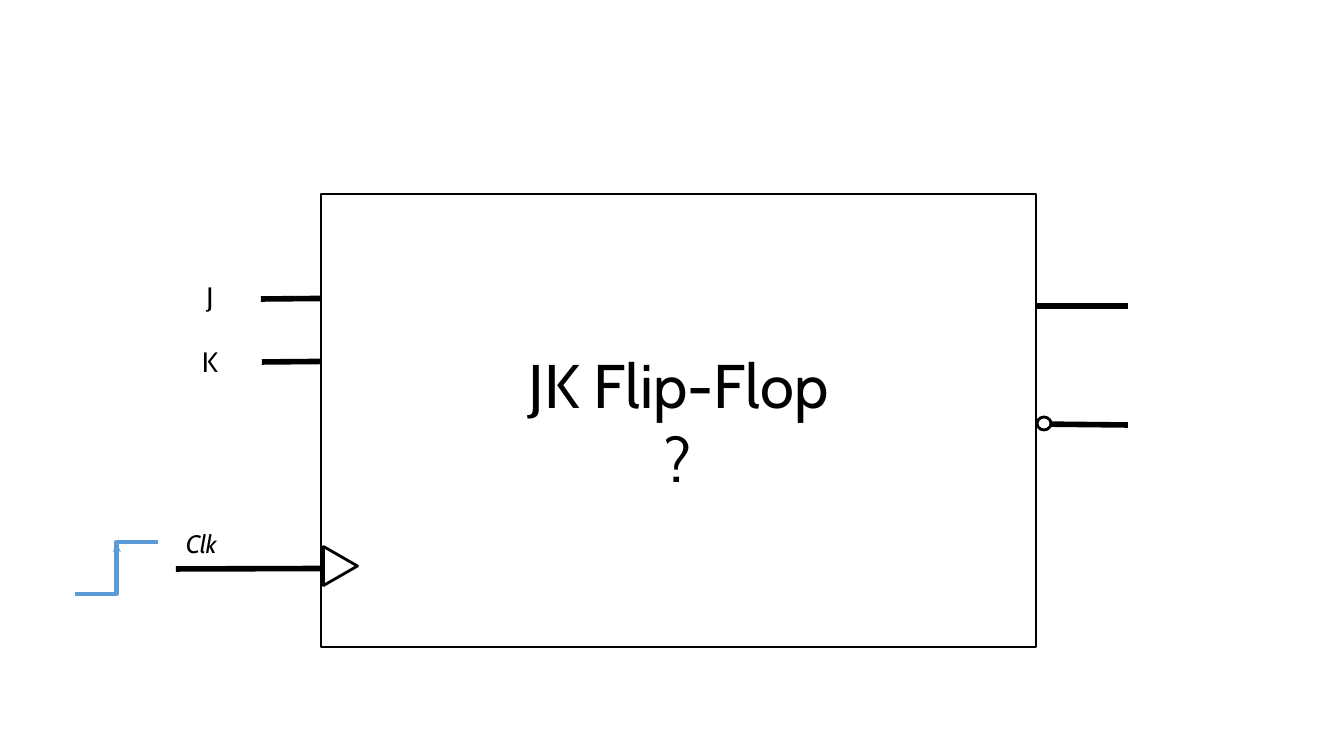
from dataclasses import dataclass

from lxml import etree
from pptx import Presentation
from pptx.dml.color import RGBColor
from pptx.enum.shapes import MSO_CONNECTOR, MSO_SHAPE
from pptx.enum.text import MSO_ANCHOR, MSO_AUTO_SIZE, PP_ALIGN
from pptx.oxml.ns import qn
from pptx.shapes.autoshape import Shape
from pptx.shapes.shapetree import SlideShapes
from pptx.util import Emu, Pt

STRAIGHT, ELBOW = MSO_CONNECTOR.STRAIGHT, MSO_CONNECTOR.ELBOW
RECTANGLE = MSO_SHAPE.RECTANGLE
OVAL = MSO_SHAPE.OVAL
TRIANGLE = MSO_SHAPE.ISOSCELES_TRIANGLE
TOP, MIDDLE = MSO_ANCHOR.TOP, MSO_ANCHOR.MIDDLE
LEFT, CENTER = PP_ALIGN.LEFT, PP_ALIGN.CENTER
GROW = MSO_AUTO_SIZE.SHAPE_TO_FIT_TEXT
EMU_PER_PX = 914400 / 100.8


@dataclass(frozen=True)
class Theme:
    ink: RGBColor = RGBColor(0, 0, 0)
    paper: RGBColor = RGBColor(255, 255, 255)
    edge: RGBColor = RGBColor(0x5B, 0x9B, 0xD5)
    font: str = "Cabin"
    title_size: int = 44
    pin_size: int = 20
    clock_size: int = 18
    wire_width: int = 4
    outline_width: int = 2
    edge_width: int = 3


THEME = Theme()


@dataclass(frozen=True)
class Wire:
    x1: int
    y1: int
    x2: int
    y2: int
    color: RGBColor = THEME.ink
    width: int = THEME.wire_width
    route: MSO_CONNECTOR = STRAIGHT
    arrow: bool = False


@dataclass(frozen=True)
class Block:
    x: int
    y: int
    width: int
    height: int
    kind: MSO_SHAPE = RECTANGLE
    filled: bool = True
    outlined: bool = True
    rotation: int = 0


@dataclass(frozen=True)
class Label:
    text: str
    size: int
    align: PP_ALIGN = CENTER
    anchor: MSO_ANCHOR = TOP
    grow: bool = True
    wrap: bool = False
    italic: bool = False


INPUT_WIRES = [
    Wire(262, 362, 372, 361),
    Wire(176, 569, 777, 567),
    Wire(261, 299, 371, 298),
]
RISING_EDGE = [
    Wire(75, 594, 158, 542, THEME.edge, THEME.edge_width, ELBOW),
    Wire(116, 591, 117, 544, THEME.edge, THEME.outline_width, arrow=True),
]
OUTPUT_WIRES = [
    Wire(937, 306, 1128, 306),
    Wire(940, 423, 1128, 425),
]
INVERTER_BUBBLE = Block(1037, 417, 14, 13, OVAL)
FLIP_FLOP = Block(321, 194, 715, 453)
CLOCK_MARK = Block(321, 549, 39, 34, TRIANGLE, filled=False, rotation=90)
CLOCK_NAME = Block(176, 523, 70, 40, filled=False, outlined=False)
PINS = [
    (Block(195, 275, 30, 44, outlined=False), "J"),
    (Block(192, 340, 36, 44, outlined=False), "K"),
]


def px(length: int) -> Emu:
    return Emu(round(length * EMU_PER_PX))


def draw_wire(shapes: SlideShapes, wire: Wire) -> None:
    connector = shapes.add_connector(
        wire.route, px(wire.x1), px(wire.y1), px(wire.x2), px(wire.y2)
    )
    connector.line.color.rgb = wire.color
    connector.line.width = Pt(wire.width)
    if wire.arrow:
        line = connector.line._get_or_add_ln()
        etree.SubElement(line, qn("a:tailEnd"), type="stealth")
    etree.SubElement(connector._element.spPr, qn("a:effectLst"))


def draw_block(shapes: SlideShapes, block: Block) -> Shape:
    shape = shapes.add_shape(
        block.kind, px(block.x), px(block.y), px(block.width), px(block.height)
    )
    shape.shadow.inherit = False
    shape.rotation = block.rotation
    if block.filled:
        shape.fill.solid()
        shape.fill.fore_color.rgb = THEME.paper
    else:
        shape.fill.background()
    if block.outlined:
        shape.line.color.rgb = THEME.ink
        shape.line.width = Pt(THEME.outline_width)
    else:
        shape.line.fill.background()
    return shape


def write_label(shape: Shape, label: Label) -> None:
    frame = shape.text_frame
    frame.text = label.text
    frame.word_wrap = label.wrap
    frame.vertical_anchor = label.anchor
    if label.grow:
        frame.auto_size = GROW
    for paragraph in frame.paragraphs:
        paragraph.alignment = label.align
        for run in paragraph.runs:
            run.font.name = THEME.font
            run.font.size = Pt(label.size)
            run.font.italic = label.italic
            run.font.color.rgb = THEME.ink


def main() -> None:
    deck = Presentation()
    deck.slide_width, deck.slide_height = px(1344), px(756)
    shapes = deck.slides.add_slide(deck.slide_layouts[6]).shapes

    for wire in INPUT_WIRES + RISING_EDGE + OUTPUT_WIRES:
        draw_wire(shapes, wire)
    clock_label = Label("Clk", THEME.clock_size, LEFT, wrap=True, italic=True)
    write_label(draw_block(shapes, CLOCK_NAME), clock_label)
    draw_block(shapes, INVERTER_BUBBLE)

    title = Label(
        "JK Flip-Flop\n?", THEME.title_size, anchor=MIDDLE, grow=False, wrap=True
    )
    write_label(draw_block(shapes, FLIP_FLOP), title)
    draw_block(shapes, CLOCK_MARK)
    for block, name in PINS:
        write_label(draw_block(shapes, block), Label(name, THEME.pin_size))

    deck.save("out.pptx")


if __name__ == "__main__":
    main()
